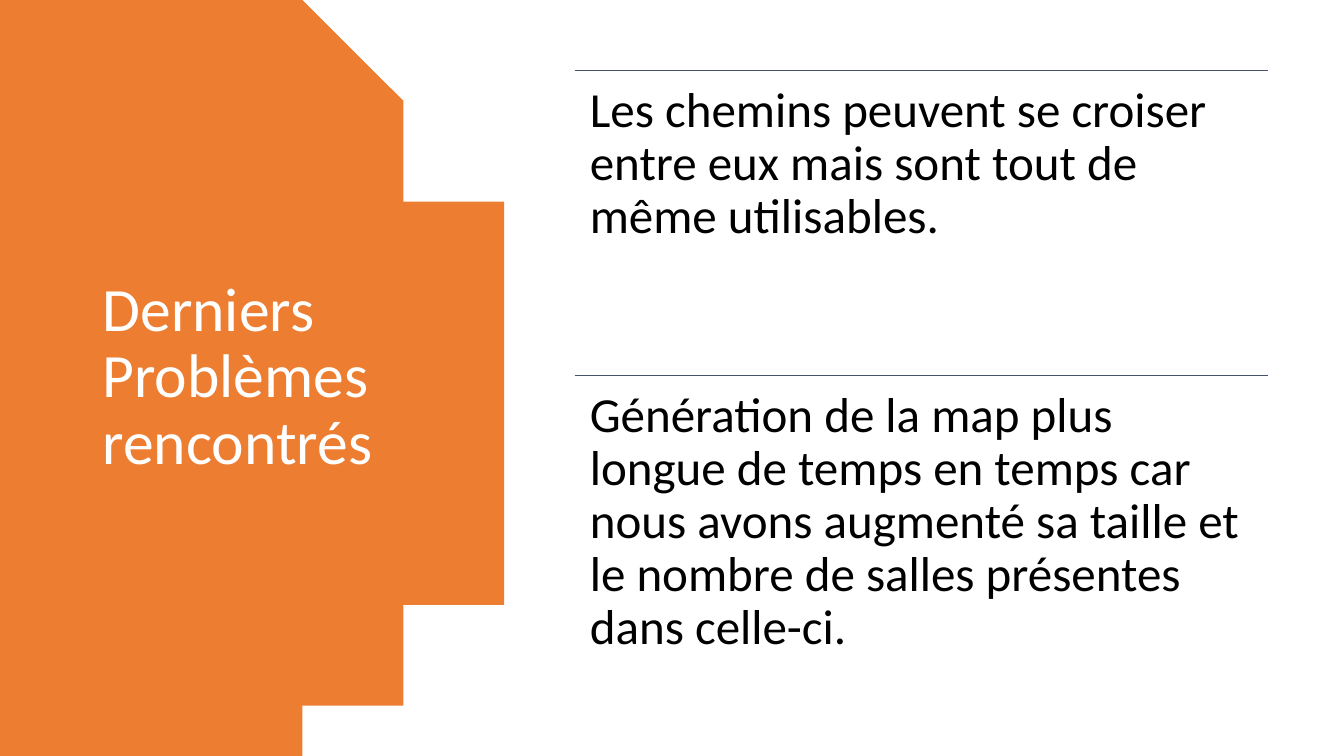
import math

import lxml.etree
import pptx
import pptx.dml.color
import pptx.enum.shapes
import pptx.enum.text
import pptx.oxml.ns
import pptx.util

Inches = pptx.util.Inches
ORANGE = pptx.dml.color.RGBColor(0xED, 0x7D, 0x31)
SLATE = pptx.dml.color.RGBColor(0x44, 0x54, 0x6A)
WHITE = pptx.dml.color.RGBColor(0xFF, 0xFF, 0xFF)
BLACK = pptx.dml.color.RGBColor(0, 0, 0)

TITLE = "Derniers Problèmes rencontrés"
PROBLEMS = [
    "Les chemins peuvent se croiser entre eux mais sont tout de même utilisables.",
    "Génération de la map plus longue de temps en temps car nous avons augmenté "
    "sa taille et le nombre de salles présentes dans celle-ci.",
]


def add_text(page, text, left, top, width, height, size, color,
             anchor=pptx.enum.text.MSO_ANCHOR.TOP, side_inset=0.1, end_inset=0.05):
    box = page.shapes.add_textbox(Inches(left), Inches(top), Inches(width), Inches(height))
    frame = box.text_frame
    frame.word_wrap = True
    frame.vertical_anchor = anchor
    frame.margin_left = frame.margin_right = Inches(side_inset)
    frame.margin_top = frame.margin_bottom = Inches(end_inset)
    para = frame.paragraphs[0]
    para.line_spacing = 0.9
    span = para.add_run()
    span.text = text
    span.font.name = "Calibri"
    span.font.size = pptx.util.Pt(size)
    span.font.color.rgb = color


def add_rule(page, left, top, width):
    rule = page.shapes.add_connector(
        pptx.enum.shapes.MSO_CONNECTOR.STRAIGHT,
        Inches(left), Inches(top), Inches(left + width), Inches(top))
    rule.line.color.rgb = SLATE
    rule.line.width = pptx.util.Pt(1)
    properties = rule.element.find(pptx.oxml.ns.qn("p:spPr"))
    lxml.etree.SubElement(properties, pptx.oxml.ns.qn("a:effectLst"))


def add_title_panel(page, left, top, width, height):
    bulge = 2.1
    radius = (bulge ** 2 + (height / 2) ** 2) / (2 * bulge)
    center_x = left + width - radius
    center_y = top + height / 2
    half_angle = math.asin(height / 2 / radius)
    steps = 80
    angles = [half_angle * (2 * step / steps - 1) for step in range(steps + 1)]
    arc = [(center_x + radius * math.cos(angle), center_y + radius * math.sin(angle))
           for angle in angles]
    builder = page.shapes.build_freeform(left, top, scale=Inches(1))
    builder.add_line_segments(arc + [(left, top + height)], close=True)
    panel = builder.convert_to_shape()
    panel.shadow.inherit = False
    panel.fill.solid()
    panel.fill.fore_color.rgb = ORANGE
    panel.line.fill.background()
    add_text(page, TITLE, left + 0.92, top + 0.7, 3.23, height - 1.4,
             size=44, color=WHITE, anchor=pptx.enum.text.MSO_ANCHOR.MIDDLE)


def add_problem_list(page, left, top, width, height):
    row_height = height / len(PROBLEMS)
    for row, problem in enumerate(PROBLEMS):
        row_top = top + row * row_height
        add_rule(page, left, row_top, width)
        add_text(page, problem, left, row_top, width, row_height,
                 size=35, color=BLACK, side_inset=0.15, end_inset=0.15)


def main():
    deck = pptx.Presentation()
    deck.slide_width = Inches(13.33)
    deck.slide_height = Inches(7.5)
    page = deck.slides.add_slide(deck.slide_layouts[6])
    add_title_panel(page, 0, 0, 4.93, 7.5)
    add_problem_list(page, 5.7, 0.7, 6.88, 6.05)
    deck.save("out.pptx")


if __name__ == "__main__":
    main()
